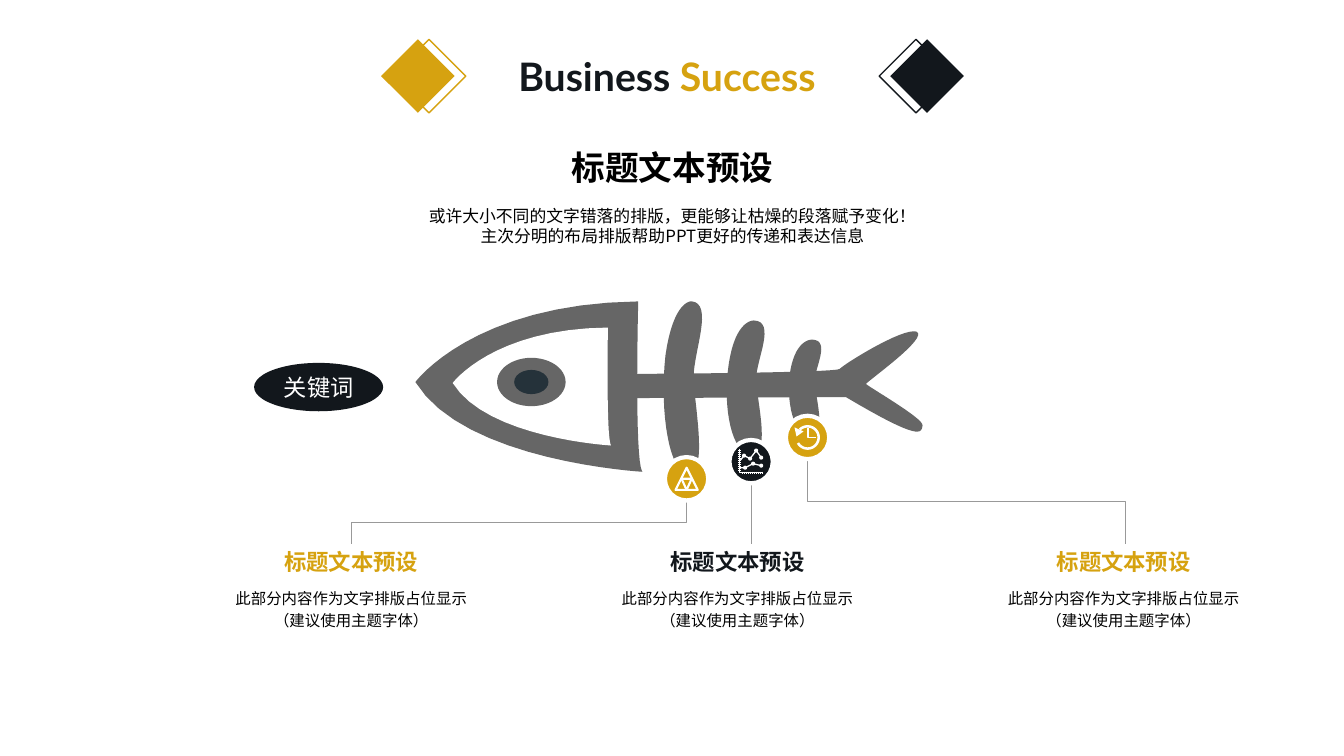
from dataclasses import dataclass
from math import cos, radians, sin

from lxml import etree
from pptx import Presentation
from pptx.dml.color import RGBColor
from pptx.enum.shapes import MSO_CONNECTOR, MSO_SHAPE
from pptx.enum.text import MSO_ANCHOR, MSO_AUTO_SIZE, PP_ALIGN
from pptx.oxml.ns import qn
from pptx.util import Inches, Pt

ELLIPSE, DIAMOND = MSO_SHAPE.OVAL, MSO_SHAPE.DIAMOND
STRAIGHT, ELBOW = MSO_CONNECTOR.STRAIGHT, MSO_CONNECTOR.ELBOW
TOP, MIDDLE, BOTTOM = MSO_ANCHOR.TOP, MSO_ANCHOR.MIDDLE, MSO_ANCHOR.BOTTOM
LEFT, CENTER = PP_ALIGN.LEFT, PP_ALIGN.CENTER
NO_AUTOFIT = MSO_AUTO_SIZE.NONE
TITLE_ONLY = 5
COLUMNS, ROWS = 13.33, 7.5


@dataclass(frozen=True)
class Theme:
    """Colours, fonts and type sizes of the slide."""
    gold: str = "D6A210"
    ink: str = "12171C"
    bone: str = "666666"
    pupil: str = "25323A"
    rule: str = "999999"
    white: str = "FFFFFF"
    black: str = "000000"
    latin: str = "Lato"
    cjk: str = "Noto Sans CJK SC"
    title: float = 28
    subtitle: float = 24
    keyword: float = 16.6
    heading: float = 16
    lead: float = 12
    body: float = 11


class Canvas:
    """Draws styled elements on one slide, in grid columns and rows."""

    def __init__(self, deck, theme):
        """Set the slide size and add the slide."""
        deck.slide_width, deck.slide_height = Inches(COLUMNS), Inches(ROWS)
        self.column = deck.slide_width / COLUMNS
        self.row = deck.slide_height / ROWS
        self.theme = theme
        self.slide = deck.slides.add_slide(deck.slide_layouts[TITLE_ONLY])
        self.shapes = self.slide.shapes

    def place(self, *lengths):
        """Turn alternating columns and rows into slide lengths."""
        units = (self.column, self.row)
        return [round(length * units[i % 2]) for i, length in enumerate(lengths)]

    def paint(self, shape, fill=None, line=None, width=1):
        """Set fill and outline, and drop the shadow."""
        shape.shadow.inherit = False
        if fill:
            shape.fill.solid()
            shape.fill.fore_color.rgb = RGBColor.from_string(fill)
        else:
            shape.fill.background()
        if line:
            shape.line.color.rgb = RGBColor.from_string(line)
            shape.line.width = Pt(width)
        else:
            shape.line.fill.background()
        return shape

    def shape(self, preset, box, **paint):
        """Add a preset shape at left, top, width, height."""
        return self.paint(self.shapes.add_shape(preset, *self.place(*box)), **paint)

    def disc(self, x, y, diameter, **paint):
        """Add a circle around a centre."""
        radius = diameter / 2
        return self.shape(ELLIPSE, (x - radius, y - radius, diameter, diameter), **paint)

    def outline(self, *contours, closed=False, **paint):
        """Add a freeform of one or more contours."""
        builder = self.shapes.build_freeform(*self.place(*contours[0][0]), scale=1.0)
        for i, contour in enumerate(contours):
            if i:
                builder.move_to(*self.place(*contour[0]))
            builder.add_line_segments([self.place(*p) for p in contour[1:]], close=closed)
        return self.paint(builder.convert_to_shape(), **paint)

    def curve(self, points, fill, steps=16):
        """Add a filled outline of joined cubic curves."""
        contour = [points[0]]
        for i in range(0, len(points) - 1, 3):
            knots = points[i:i + 4]
            for step in range(1, steps + 1):
                t = step / steps
                weights = ((1 - t) ** 3, 3 * t * (1 - t) ** 2, 3 * t * t * (1 - t), t ** 3)
                contour.append(tuple(sum(w * k[axis] for w, k in zip(weights, knots))
                                     for axis in (0, 1)))
        return self.outline(contour, closed=True, fill=fill)

    def letter(self, shape, lines, size, color, bold=False, anchor=MIDDLE, wrap=False, spacing=None):
        """Set centred lines into a shape."""
        frame = shape.text_frame
        frame.word_wrap, frame.vertical_anchor = wrap, anchor
        paragraph = frame.paragraphs[0]
        paragraph.alignment = CENTER
        if spacing:
            paragraph.line_spacing = spacing
        for i, line in enumerate(lines):
            if i:
                paragraph.add_line_break()
            paragraph.add_run().text = line
        font = paragraph.font
        font.size, font.bold, font.name = Pt(size), bold, self.theme.cjk
        font.color.rgb = RGBColor.from_string(color)
        properties = paragraph._p.pPr.find(qn("a:defRPr"))
        etree.SubElement(properties, qn("a:ea")).set("typeface", self.theme.cjk)

    def text(self, box, lines, size, color, **style):
        """Add a text box."""
        self.letter(self.shapes.add_textbox(*self.place(*box)), lines, size, color, **style)

    def title(self, box, parts):
        """Fill the title placeholder with coloured parts."""
        title = self.shapes.title
        title.left, title.top, title.width, title.height = self.place(*box)
        frame = title.text_frame
        frame.word_wrap, frame.auto_size, frame.vertical_anchor = False, NO_AUTOFIT, MIDDLE
        paragraph = frame.paragraphs[0]
        paragraph.alignment = LEFT
        font = paragraph.font
        font.size, font.bold, font.name = Pt(self.theme.title), True, self.theme.latin
        for words, color in parts:
            run = paragraph.add_run()
            run.text = words
            run.font.color.rgb = RGBColor.from_string(color)

    def leader(self, x1, y1, x2, y2):
        """Add a thin leader that leaves and arrives vertically."""
        if x1 == x2:
            connector = self.shapes.add_connector(STRAIGHT, *self.place(x1, y1, x2, y2))
        else:
            x, y = (x1 + x2) / 2, (y1 + y2) / 2
            side = 1 if x2 < x1 else -1
            run, drop = side * (y2 - y1) / 2, abs(x2 - x1) / 2
            connector = self.shapes.add_connector(
                ELBOW, *self.place(x - run, y - drop, x + run, y + drop))
            turn = 90 if side == 1 else 270
            connector._element.spPr.find(qn("a:xfrm")).set("rot", str(turn * 60000))
        connector.line.color.rgb = RGBColor.from_string(self.theme.rule)
        connector.line.width = Pt(0.5)
        etree.SubElement(connector._element.spPr, qn("a:effectLst"))


def draw_fish(canvas):
    """Draw the fish skeleton."""
    theme = canvas.theme
    head = [(4.12, 3.79), (4.12, 3.79), (4.69, 3.01), (6.33, 2.99), (6.33, 2.99),
            (6.29, 4.56), (6.37, 4.68), (6.37, 4.68), (4.6, 4.58), (4.12, 3.79)]
    face = [(4.49, 3.8), (4.49, 3.8), (4.89, 3.26), (6.03, 3.25), (6.03, 3.25),
            (6.01, 4.34), (6.06, 4.42), (6.06, 4.42), (4.83, 4.35), (4.49, 3.8)]
    spine = [(6.33, 3.71), (6.33, 3.71), (8.31, 3.7), (8.33, 3.66), (8.36, 3.62),
             (8.95, 3.25), (9.09, 3.29), (9.22, 3.35), (8.59, 3.79), (8.59, 3.81),
             (8.6, 3.83), (9.16, 4.15), (9.15, 4.22), (9.14, 4.3), (9.13, 4.38),
             (8.39, 3.94), (6.26, 3.95), (6.26, 3.95), (6.26, 3.95), (6.26, 3.95),
             (6.07, 3.72), (6.33, 3.71)]
    long_rib = [(6.86, 2.99), (6.86, 2.99), (6.68, 2.97), (6.6, 3.53), (6.54, 4.09),
                (6.64, 4.71), (6.83, 4.7), (7.03, 4.69), (6.88, 3.98), (6.88, 3.74),
                (6.88, 3.49), (7.08, 3.01), (6.86, 2.99)]
    middle_rib = [(7.48, 3.18), (7.48, 3.18), (7.3, 3.16), (7.23, 3.6), (7.16, 4.04),
                  (7.26, 4.52), (7.46, 4.51), (7.65, 4.5), (7.5, 3.95), (7.5, 3.76),
                  (7.5, 3.57), (7.7, 3.19), (7.48, 3.18)]
    short_rib = [(8.06, 3.37), (8.06, 3.37), (7.9, 3.35), (7.84, 3.67), (7.79, 3.98),
                 (7.87, 4.33), (8.04, 4.32), (8.21, 4.32), (8.08, 3.92), (8.08, 3.78),
                 (8.08, 3.65), (8.24, 3.38), (8.06, 3.37)]
    for bone in (head, face, spine, long_rib, middle_rib, short_rib):
        canvas.curve(bone, theme.white if bone is face else theme.bone)
    canvas.shape(ELLIPSE, (4.93, 3.55, 0.68, 0.48), fill=theme.bone)
    canvas.shape(ELLIPSE, (5.1, 3.67, 0.34, 0.24), fill=theme.pupil)


def draw_triangle_icon(canvas):
    """Draw a triangle split into four."""
    canvas.outline([(6.81, 4.64), (6.7, 4.86), (6.92, 4.86)],
                   [(6.76, 4.75), (6.86, 4.75), (6.81, 4.86)],
                   closed=True, line=canvas.theme.white, width=1.5)


def draw_chart_icon(canvas):
    """Draw ticked axes and two dotted series."""
    white = canvas.theme.white
    axes = [(7.33, 4.45), (7.33, 4.69), (7.57, 4.69)]
    ticks = [[(7.32, 4.47 + 0.02 * i), (7.35, 4.47 + 0.02 * i)] for i in range(11)]
    ticks += [[(7.36 + 0.02 * i, 4.68), (7.36 + 0.02 * i, 4.7)] for i in range(11)]
    canvas.outline(axes, *ticks, line=white, width=0.6)
    lower = [(7.34, 4.64), (7.39, 4.64), (7.47, 4.6), (7.55, 4.62)]
    upper = [(7.34, 4.57), (7.38, 4.52), (7.44, 4.55), (7.5, 4.47), (7.55, 4.54)]
    for series in (lower, upper):
        canvas.outline(series, line=white, width=0.9)
        for x, y in series[1:]:
            canvas.disc(x, y, 0.04, fill=white)


def draw_clock_icon(canvas):
    """Draw a clock with a backward arrow."""
    white = canvas.theme.white
    arc = [(8.01 + 0.11 * cos(radians(a)), 4.34 + 0.11 * sin(radians(a)))
           for a in range(150, -136, -5)]
    canvas.outline(arc, line=white, width=1.8)
    canvas.outline([(7.88, 4.24), (7.97, 4.28), (7.9, 4.33)], closed=True, fill=white)
    canvas.outline([(8.01, 4.25), (8.01, 4.34), (8.09, 4.34)], line=white, width=1.4)


def main():
    """Build and save the slide."""
    deck, theme = Presentation(), Theme()
    canvas = Canvas(deck, theme)
    canvas.title((5.04, 0.47, 3.25, 0.57), [("Business ", theme.ink), ("Success", theme.gold)])
    for solid, hollow, color in ((3.78, 3.89, theme.gold), (8.83, 8.72, theme.ink)):
        canvas.shape(DIAMOND, (solid, 0.39, 0.73, 0.73), fill=color)
        canvas.shape(DIAMOND, (hollow, 0.39, 0.73, 0.73), line=color)
    canvas.text((3.87, 1.39, 5.6, 0.53), ["标题文本预设"], theme.subtitle, theme.black, bold=True)
    canvas.text((3.87, 1.92, 5.6, 0.64),
                ["或许大小不同的文字错落的排版，更能够让枯燥的段落赋予变化！",
                 "主次分明的布局排版帮助PPT更好的传递和表达信息"],
                theme.lead, theme.black, wrap=True)
    draw_fish(canvas)
    keyword = canvas.shape(ELLIPSE, (2.52, 3.6, 1.28, 0.48), fill=theme.ink)
    canvas.letter(keyword, ["关键词"], theme.keyword, theme.white)
    badges = ((6.81, 4.75, 3.48, theme.gold, draw_triangle_icon),
              (7.45, 4.58, 7.45, theme.ink, draw_chart_icon),
              (8.01, 4.34, 11.16, theme.gold, draw_clock_icon))
    for i, (x, y, target, color, draw_icon) in enumerate(badges):
        left = 2.21 + 3.83 * i
        canvas.text((left, 5.4, 2.55, 0.35), ["标题文本预设"], theme.heading, color,
                    bold=True, anchor=BOTTOM)
        canvas.text((left, 5.76, 2.55, 0.79),
                    ["此部分内容作为文字排版占位显示", "（建议使用主题字体）"],
                    theme.body, theme.black, anchor=TOP, wrap=True, spacing=1.2)
        canvas.leader(x, y + 0.21, target, 5.4)
        canvas.disc(x, y, 0.43, fill=color, line=theme.white, width=3)
        draw_icon(canvas)
    deck.save("out.pptx")


if __name__ == "__main__":
    main()
